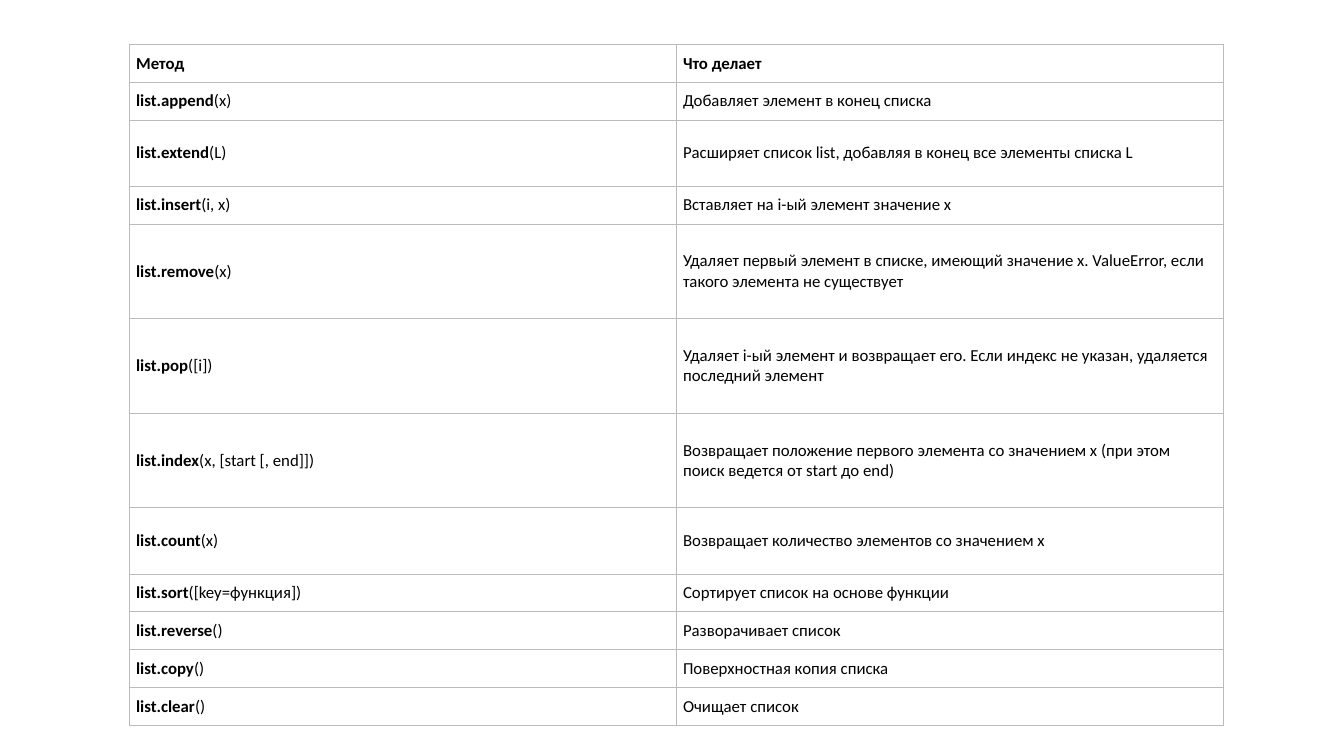
from lxml import etree
from pptx import Presentation
from pptx.dml.color import RGBColor
from pptx.enum.text import MSO_ANCHOR
from pptx.oxml.ns import qn
from pptx.util import Inches, Pt

MIDDLE = MSO_ANCHOR.MIDDLE
BLANK_LAYOUT = 6
FONT = "Calibri"
COLORS = {"text": "000000", "fill": "FFFFFF", "border": "BBBBBB"}

HEADER = ("Метод", "Что делает")
SHORT, MEDIUM, TALL = 4, 7, 10
METHODS = [
    ("append", "(x)", "Добавляет элемент в конец списка", SHORT),
    ("extend", "(L)", "Расширяет список list, добавляя в конец все элементы списка L", MEDIUM),
    ("insert", "(i, x)", "Вставляет на i-ый элемент значение x", SHORT),
    ("remove", "(x)", "Удаляет первый элемент в списке, имеющий значение x. "
     "ValueError, если такого элемента не существует", TALL),
    ("pop", "([i])", "Удаляет i-ый элемент и возвращает его. "
     "Если индекс не указан, удаляется последний элемент", TALL),
    ("index", "(x, [start [, end]])", "Возвращает положение первого элемента со значением x "
     "(при этом поиск ведется от start до end)", TALL),
    ("count", "(x)", "Возвращает количество элементов со значением x", MEDIUM),
    ("sort", "([key=функция])", "Сортирует список на основе функции", SHORT),
    ("reverse", "()", "Разворачивает список", SHORT),
    ("copy", "()", "Поверхностная копия списка", SHORT),
    ("clear", "()", "Очищает список", SHORT),
]


def set_borders(cell):
    tc_pr = cell._tc.get_or_add_tcPr()
    for i, side in enumerate(("lnL", "lnR", "lnT", "lnB")):
        ln = etree.Element(qn(f"a:{side}"), w=str(Pt(0.75)))
        fill = etree.SubElement(ln, qn("a:solidFill"))
        etree.SubElement(fill, qn("a:srgbClr"), val=COLORS["border"])
        tc_pr.insert(i, ln)


def fill_cell(cell, runs):
    cell.fill.solid()
    cell.fill.fore_color.rgb = RGBColor.from_string(COLORS["fill"])
    cell.vertical_anchor = MIDDLE
    cell.margin_left = cell.margin_right = Inches(0.07)
    cell.margin_top = cell.margin_bottom = Inches(0.03)
    set_borders(cell)
    p = cell.text_frame.paragraphs[0]
    for text, bold in runs:
        r = p.add_run()
        r.text = text
        r.font.name = FONT
        r.font.size = Pt(12)
        r.font.bold = bold
        r.font.color.rgb = RGBColor.from_string(COLORS["text"])


def add_method_table(slide, left, top, width, height):
    rows = [([(HEADER[0], True)], [(HEADER[1], True)], SHORT)]
    for name, args, action, weight in METHODS:
        rows.append(([(f"list.{name}", True), (args, False)], [(action, False)], weight))
    table = slide.shapes.add_table(len(rows), len(HEADER), left, top, width, height).table
    table.first_row = False
    table.horz_banding = False
    unit = height / sum(weight for _, _, weight in rows)
    for i, (method, action, weight) in enumerate(rows):
        table.rows[i].height = int(unit * weight)
        fill_cell(table.cell(i, 0), method)
        fill_cell(table.cell(i, 1), action)


def main():
    prs = Presentation()
    prs.slide_width = Inches(13.33)
    prs.slide_height = Inches(7.5)
    s = prs.slides.add_slide(prs.slide_layouts[BLANK_LAYOUT])
    add_method_table(s, Inches(1.28), Inches(0.44), Inches(10.85), Inches(6.76))
    prs.save("out.pptx")


if __name__ == "__main__":
    main()
